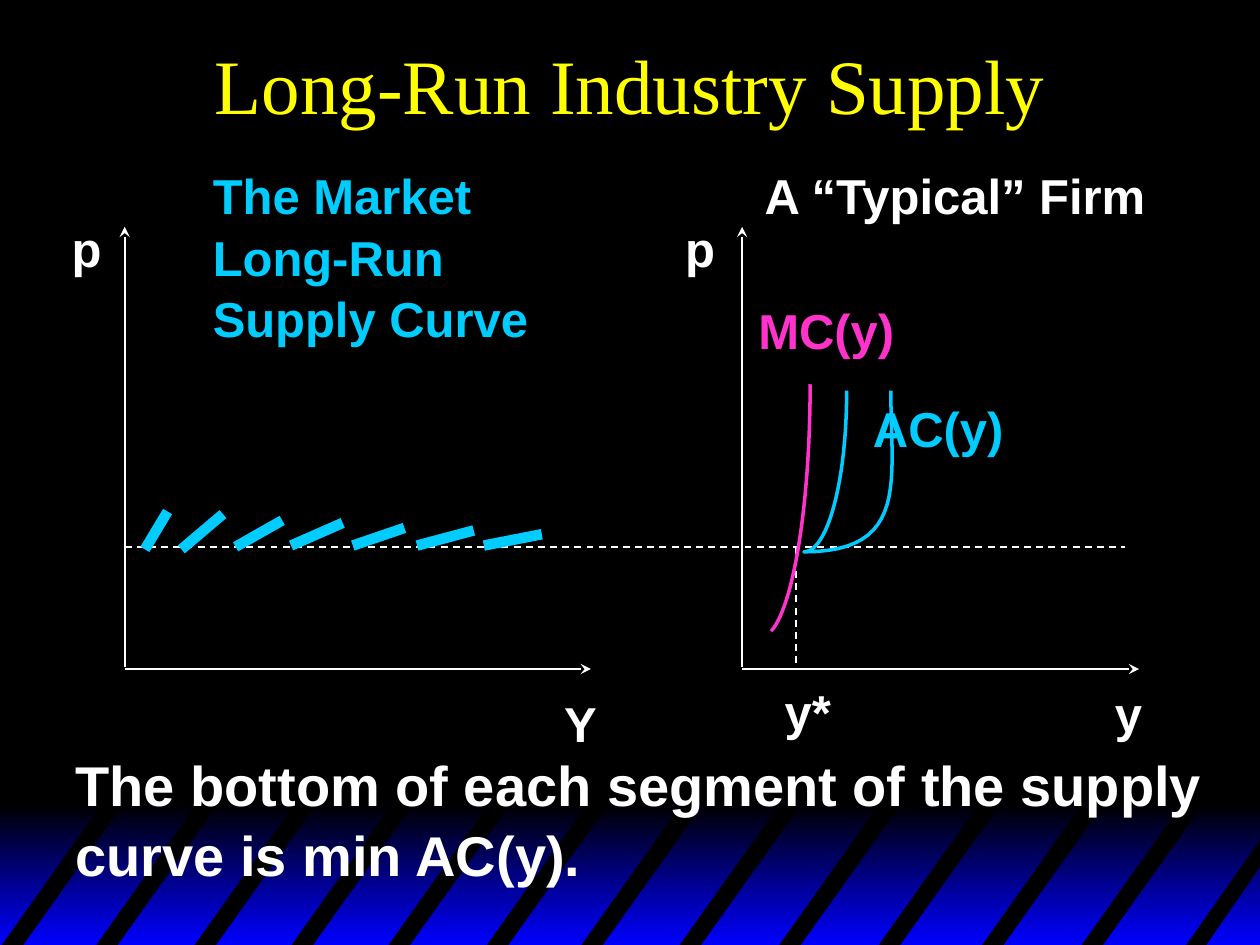
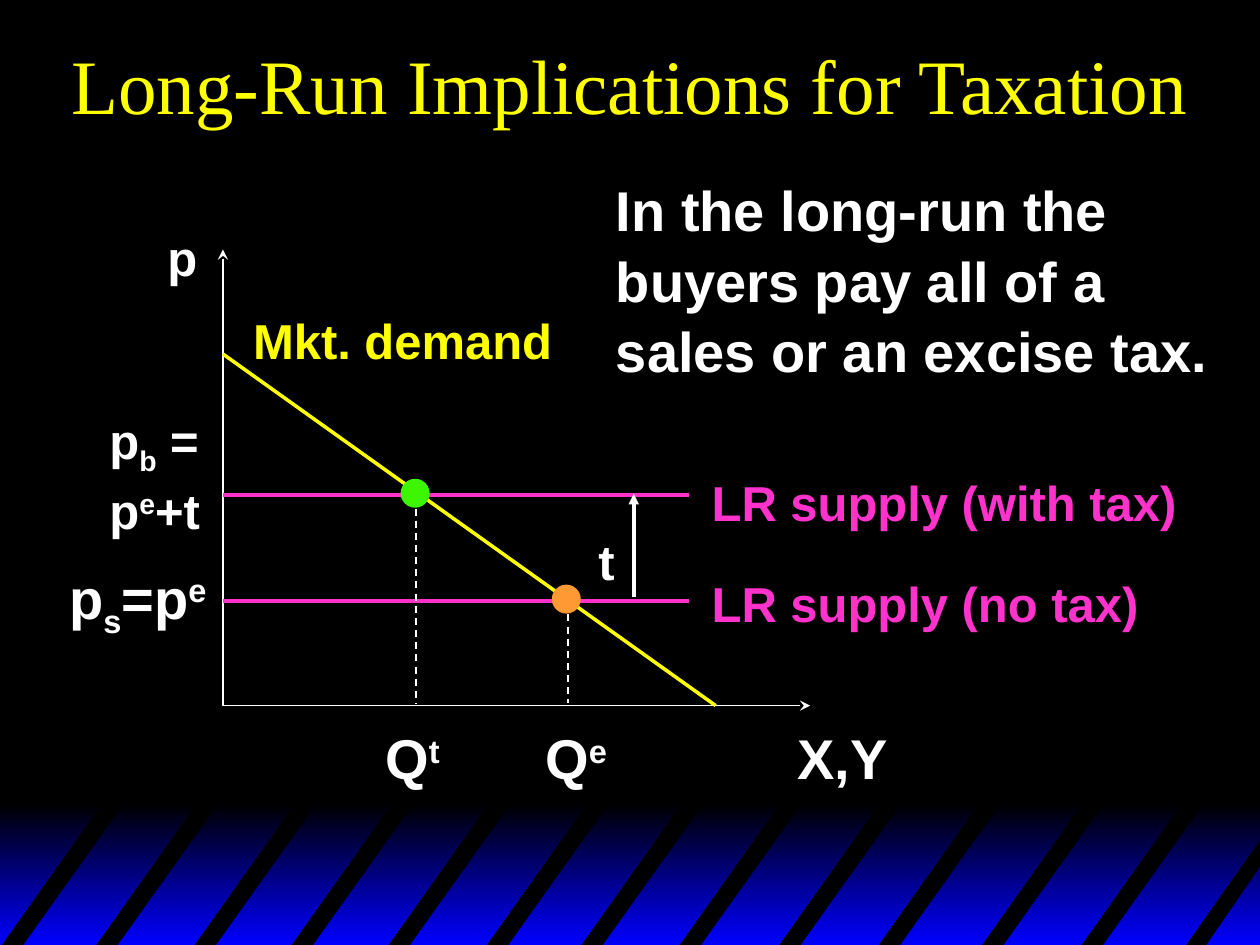
import pptx
import pptx.util
import pptx.dml.color
import pptx.enum.dml
import pptx.enum.shapes
import pptx.enum.text
from lxml import etree
from pptx.oxml.ns import qn

Inches = pptx.util.Inches
Pt = pptx.util.Pt
RGBColor = pptx.dml.color.RGBColor

BLACK = RGBColor(0x00, 0x00, 0x00)
BLUE = RGBColor(0x00, 0x00, 0xFF)
WHITE = RGBColor(0xFF, 0xFF, 0xFF)
YELLOW = RGBColor(0xFF, 0xFF, 0x00)
CYAN = RGBColor(0x00, 0xCC, 0xFF)
PINK = RGBColor(0xFF, 0x33, 0xCC)
ORANGE = RGBColor(0xFF, 0x99, 0x33)
GREEN = RGBColor(0x3D, 0xF5, 0x00)

SUB, SUPER = -25, 30
DOT_SIZE = 0.23

# Footer band: the stripes share one slant; the last is cut at the edge
BAND_TOP, BAND_BOTTOM, BAND_RIGHT = 6.34, 7.52, 10.02
STRIPE_WIDTH, STRIPE_SLANT = 0.17, 0.84
STRIPE_LEFTS = [0, 0.75, 1.53, 2.3, 3.07, 3.85, 4.6, 5.38, 6.17, 6.96, 7.78, 8.57]
LAST_STRIPE = [(9.4, 7.52), (10.02, 6.64), (10.02, 6.85), (9.56, 7.52)]

# Lines: start, end, colour, width, then dash or arrowhead
# Labels: left, top, width, height, size, colour, paragraphs
# (each paragraph is a list of runs; a raised or lowered run is a pair)
MIN_AC = 4.34
SUPPLY_SEGMENTS = [
    ((1.15, 4.36), (1.33, 4.06)), ((1.44, 4.36), (1.77, 4.08)),
    ((1.87, 4.34), (2.24, 4.13)), ((2.31, 4.33), (2.72, 4.15)),
    ((2.8, 4.33), (3.21, 4.19)), ((3.31, 4.33), (3.76, 4.21)),
    ((3.84, 4.33), (4.3, 4.24)),
]
SUPPLY = {
    "title": "Long-Run Industry Supply",
    "lines": [
        ((0.99, 5.29), (0.99, 1.8), WHITE, 1, "stealth"),
        ((0.99, 5.31), (4.69, 5.31), WHITE, 1, "stealth"),
        ((5.89, 5.29), (5.89, 1.8), WHITE, 1, "stealth"),
        ((5.89, 5.31), (9.04, 5.31), WHITE, 1, "stealth"),
        ((6.32, MIN_AC), (6.32, 5.31), WHITE, 1, "dash"),
        ((0.99, MIN_AC), (8.93, MIN_AC), WHITE, 1, "dash"),
    ] + [(start, end, CYAN, 6, None) for start, end in SUPPLY_SEGMENTS],
    "curves": [  # colour, then joined Bezier pieces
        (CYAN, [[(6.72, 3.1), (6.72, 3.81), (6.57, 4.38), (6.38, 4.38)],
                [(6.38, 4.38), (7.22, 4.38), (7.07, 3.81), (7.07, 3.1)]]),
        (PINK, [[(6.43, 3.05), (6.43, 3.99), (6.3, 4.81), (6.12, 5.01)]]),
    ],
    "labels": [
        (6.83, 3.09, 1.24, 0.57, 28, CYAN, [["AC(y)"]]),
        (5.92, 2.31, 1.28, 0.57, 28, PINK, [["MC(y)"]]),
        (8.75, 5.35, 0.42, 0.57, 28, WHITE, [["y"]]),
        (5.97, 1.24, 3.27, 0.57, 28, WHITE, [["A “Typical” Firm"]]),
        (1.59, 1.24, 2.71, 1.5, 28, CYAN,
         [["The Market\vLong-Run\vSupply Curve"]]),
        (0.47, 1.66, 0.44, 0.57, 28, WHITE, [["p"]]),
        (5.34, 1.66, 0.44, 0.57, 28, WHITE, [["p"]]),
        (4.38, 5.43, 0.46, 0.57, 28, WHITE, [["Y"]]),
        (6.13, 5.34, 0.57, 0.57, 28, WHITE, [["y*"]]),
        (0.5, 5.88, 9.15, 1.17, 32, WHITE,
         [["The bottom of each segment of the supply\vcurve is min AC(y)."]]),
    ],
    "dots": [],
}

PRICE_AXIS, QUANTITY_AXIS, SUPPLY_END = 1.77, 5.6, 5.47
TAXED_PRICE, UNTAXED_PRICE = 3.93, 4.77
TAXATION = {
    "title": "Long-Run Implications for Taxation",
    "lines": [
        ((PRICE_AXIS, QUANTITY_AXIS), (PRICE_AXIS, 1.98), WHITE, 1, "stealth"),
        ((PRICE_AXIS, QUANTITY_AXIS), (6.43, QUANTITY_AXIS), WHITE, 1, "stealth"),
        ((PRICE_AXIS, 2.81), (5.68, QUANTITY_AXIS), YELLOW, 2, None),
        ((PRICE_AXIS, UNTAXED_PRICE), (SUPPLY_END, UNTAXED_PRICE), PINK, 2, None),
        ((PRICE_AXIS, TAXED_PRICE), (SUPPLY_END, TAXED_PRICE), PINK, 2, None),
        ((4.51, 4.78), (4.51, 5.58), WHITE, 1, "dash"),
        ((3.3, 3.94), (3.3, 5.58), WHITE, 1, "dash"),
        ((5.03, 4.74), (5.03, 3.92), WHITE, 2, "triangle"),
    ],
    "curves": [],
    "labels": [
        (5.55, 4.48, 3.59, 0.57, 28, PINK, [["LR supply (no tax)"]]),
        (1.23, 1.73, 0.44, 0.57, 28, WHITE, [["p"]]),
        (6.23, 5.67, 0.92, 0.63, 32, WHITE, [["X,Y"]]),
        (1.91, 2.39, 2.58, 0.57, 28, YELLOW, [["Mkt. demand"]]),
        (4.23, 5.67, 0.69, 0.63, 32, WHITE, [["Q", ("e", SUPER)]]),
        (0.45, 4.39, 1.29, 0.71, 32, WHITE,
         [["p", ("s", SUB), "=p", ("e", SUPER)]]),
        (5.55, 3.68, 3.89, 0.57, 28, PINK, [["LR supply (with tax)"]]),
        (2.96, 5.67, 0.63, 0.63, 32, WHITE, [["Q", ("t", SUPER)]]),
        (0.77, 3.18, 1.02, 1.1, 28, WHITE,
         [["p", ("b", SUB), " ="], ["p", ("e", SUPER), "+t"]]),
        (4.65, 4.15, 0.33, 0.57, 28, WHITE, [["t"]]),
        (4.79, 1.32, 4.9, 1.7, 32, WHITE,
         [["In the long-run the\vbuyers pay all of a\vsales or an excise tax."]]),
    ],
    "dots": [(4.38, 4.64, ORANGE), (3.18, 3.8, GREEN)],
}


def set_font(paragraph, name, size, color, bold=False):
    paragraph.font.name = name
    paragraph.font.size = Pt(size)
    paragraph.font.color.rgb = color
    paragraph.font.bold = bold


def add_preset(slide, kind, left, top, width, height):
    shape = slide.shapes.add_shape(
        kind, Inches(left), Inches(top), Inches(width), Inches(height))
    shape.shadow.inherit = False
    shape.line.fill.background()
    return shape


def add_outline(slide, points, close):
    points = [(Inches(x), Inches(y)) for x, y in points]
    builder = slide.shapes.build_freeform(*points[0])
    builder.add_line_segments(points[1:], close=close)
    shape = builder.convert_to_shape()
    shape.shadow.inherit = False
    return shape


def add_frame(slide, title):
    """Background, striped footer band and title."""
    slide.background.fill.solid()
    slide.background.fill.fore_color.rgb = BLACK
    band = add_preset(slide, pptx.enum.shapes.MSO_SHAPE.RECTANGLE,
                      0, 6.38, BAND_RIGHT, 1.12)
    band.fill.gradient()
    band.fill.gradient_angle = 270
    for stop, color in zip(band.fill.gradient_stops, (BLACK, BLUE)):
        stop.color.rgb = color

    stripes = [[(left, BAND_BOTTOM), (left + STRIPE_SLANT, BAND_TOP),
                (left + STRIPE_SLANT + STRIPE_WIDTH, BAND_TOP),
                (left + STRIPE_WIDTH, BAND_BOTTOM)] for left in STRIPE_LEFTS]
    for points in stripes + [LAST_STRIPE]:
        stripe = add_outline(slide, points, close=True)
        stripe.fill.solid()
        stripe.fill.fore_color.rgb = BLACK
        stripe.line.fill.background()

    box = slide.shapes.add_textbox(0, 0, Inches(10), Inches(1.33))
    box.text_frame.word_wrap = True
    box.text_frame.vertical_anchor = pptx.enum.text.MSO_ANCHOR.MIDDLE
    paragraph = box.text_frame.paragraphs[0]
    paragraph.text = title
    paragraph.alignment = pptx.enum.text.PP_ALIGN.CENTER
    set_font(paragraph, "Times New Roman", 44, YELLOW)


def add_line(slide, start, end, color, width, ending):
    connector = slide.shapes.add_connector(
        pptx.enum.shapes.MSO_CONNECTOR.STRAIGHT,
        *[Inches(value) for value in start + end])
    connector.line.color.rgb = color
    connector.line.width = Pt(width)
    if ending == "dash":
        connector.line.dash_style = pptx.enum.dml.MSO_LINE.DASH
    elif ending:
        etree.SubElement(connector.line._get_or_add_ln(), qn("a:tailEnd"), type=ending)
    etree.SubElement(connector._element.spPr, qn("a:effectLst"))


def bezier_points(piece, steps=24):
    for step in range(steps + 1):
        t = step / steps
        weights = ((1 - t) ** 3, 3 * t * (1 - t) ** 2, 3 * t * t * (1 - t), t ** 3)
        yield tuple(sum(weight * point[axis] for weight, point in zip(weights, piece))
                    for axis in (0, 1))


def add_curve(slide, color, pieces):
    points = [point for piece in pieces for point in bezier_points(piece)]
    curve = add_outline(slide, points, close=False)
    curve.fill.background()
    curve.line.color.rgb = color
    curve.line.width = Pt(2)


def add_label(slide, left, top, width, height, size, color, paragraphs):
    box = slide.shapes.add_textbox(
        Inches(left), Inches(top), Inches(width), Inches(height))
    frame = box.text_frame
    frame.word_wrap = False
    frame.auto_size = pptx.enum.text.MSO_AUTO_SIZE.SHAPE_TO_FIT_TEXT
    for index, runs in enumerate(paragraphs):
        paragraph = frame.add_paragraph() if index else frame.paragraphs[0]
        paragraph.line_spacing = 1.05
        set_font(paragraph, "Arial", size, color, bold=True)
        if len(runs) == 1:
            paragraph.text = runs[0]
            continue
        for item in runs:
            text, baseline = (item, 0) if isinstance(item, str) else item
            run = paragraph.add_run()
            run.text = text
            if baseline:
                run._r.get_or_add_rPr().set("baseline", str(baseline * 1000))


def add_dot(slide, left, top, color):
    dot = add_preset(slide, pptx.enum.shapes.MSO_SHAPE.OVAL,
                     left, top, DOT_SIZE, DOT_SIZE)
    dot.fill.solid()
    dot.fill.fore_color.rgb = color


def main():
    presentation = pptx.Presentation()
    presentation.slide_width = Inches(10)
    presentation.slide_height = Inches(7.5)
    for content in (SUPPLY, TAXATION):
        slide = presentation.slides.add_slide(presentation.slide_layouts[6])
        add_frame(slide, content["title"])
        for part, add_part in (("lines", add_line), ("curves", add_curve),
                               ("labels", add_label), ("dots", add_dot)):
            for values in content[part]:
                add_part(slide, *values)
    presentation.save("out.pptx")


if __name__ == "__main__":
    main()
